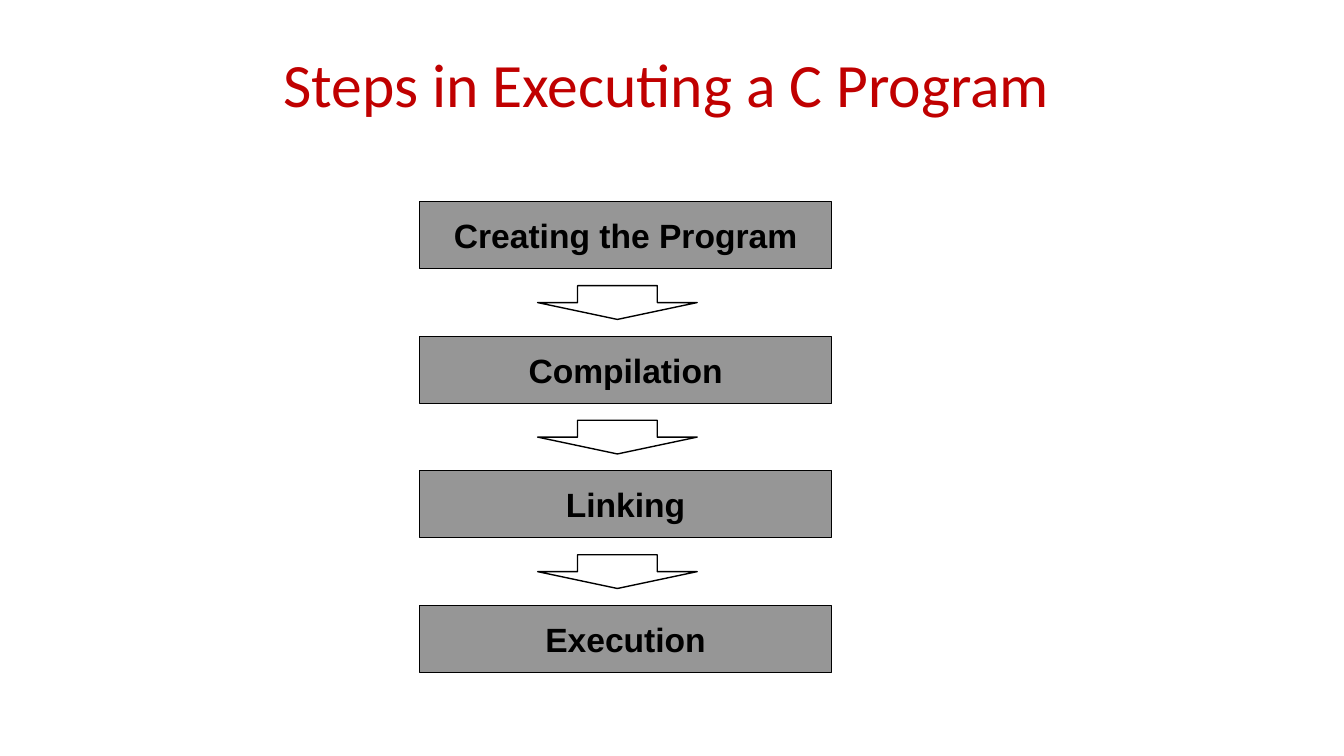
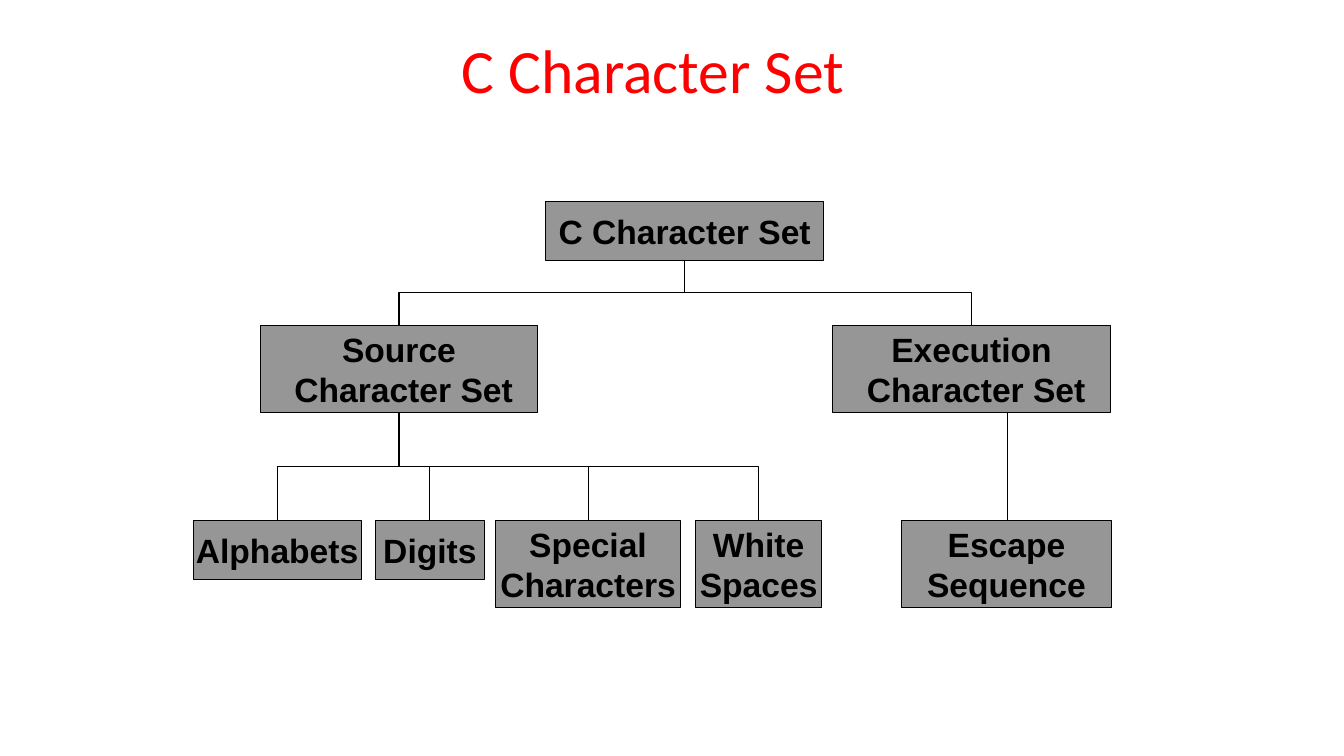
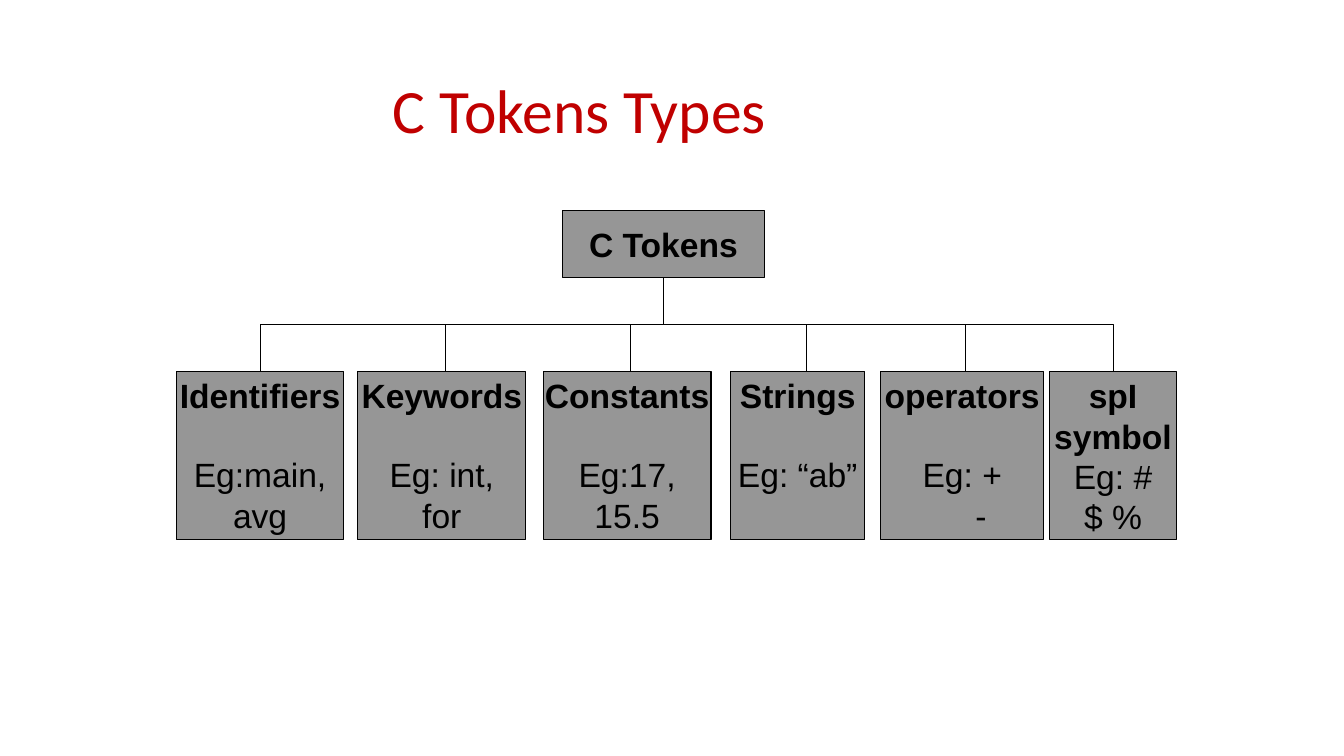
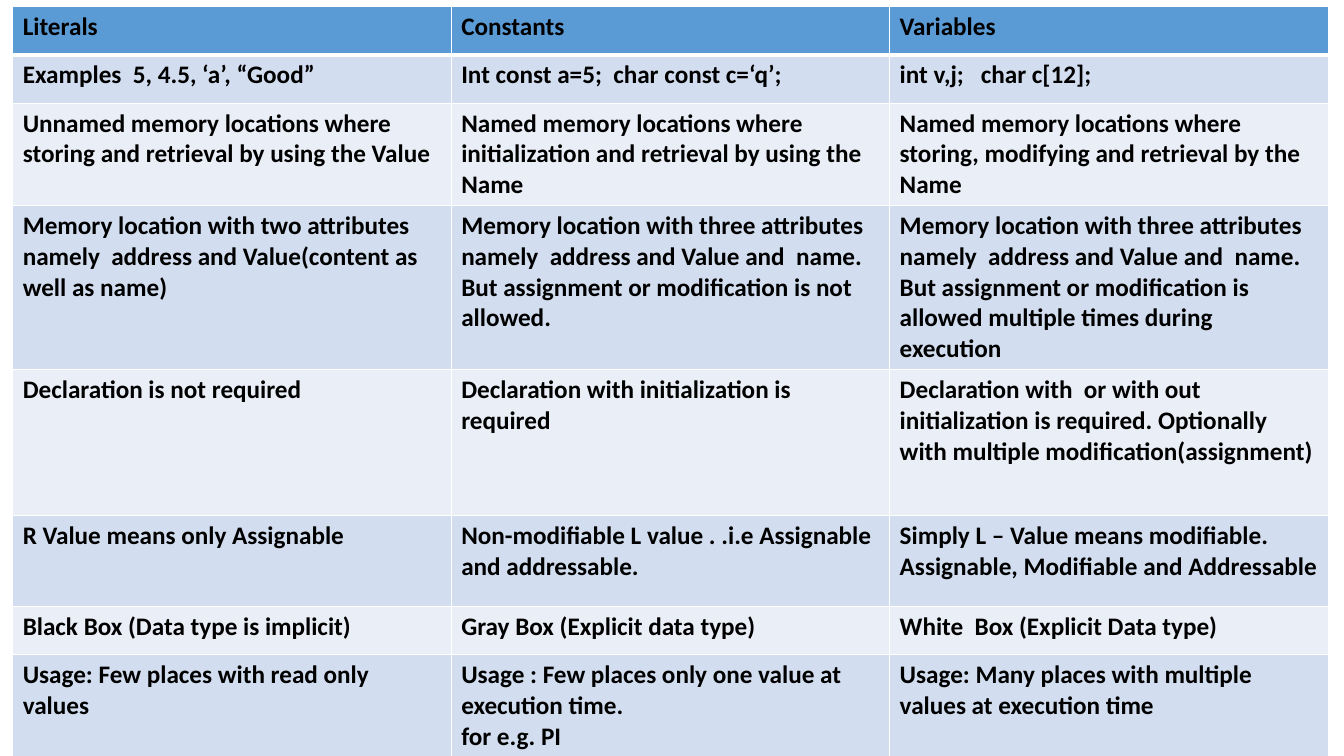
from dataclasses import dataclass

import pptx
from lxml import etree
from pptx import util as u
from pptx.dml import color
from pptx.enum import shapes, text
from pptx.oxml import ns

COLORS = {
    "black": "000000",
    "white": "FFFFFF",
    "box": "969696",
    "dark red": "C00000",
    "red": "FF0000",
    "header": "5B9BD5",
    "band dark": "D2DEEF",
    "band light": "EAEFF7",
}
TITLE_FONT = "Calibri"
BOX_FONT = "Arial"
BOX_TEXT_SIZE = 24
BLANK_LINE = u.Pt(27.6)  # one line of box text
TWO_LINES = 2.2  # height of a box that holds two lines


@dataclass
class Area:
    """Rectangle in centimetres."""
    left: float
    top: float
    width: float
    height: float

    @property
    def center(self) -> float:
        return self.left + self.width / 2

    @property
    def bottom(self) -> float:
        return self.top + self.height

    def lengths(self) -> list[u.Length]:
        return [u.Cm(value) for value in (self.left, self.top, self.width, self.height)]


@dataclass
class Box:
    area: Area
    lines: list[str]


@dataclass
class Token:
    left: float
    width: float
    heading: list[str]
    examples: list[str]
    last_indent: float = 0


# Shared parts

def rgb(name: str) -> color.RGBColor:
    return color.RGBColor.from_string(COLORS[name])


def add_run(paragraph, words: str, size: float, font: str, color_name: str = "black",
            bold: bool = False) -> None:
    run = paragraph.add_run()
    run.text = words
    run.font.size = u.Pt(size)
    run.font.name = font
    run.font.bold = bold
    run.font.color.rgb = rgb(color_name)


def next_paragraph(frame, index: int):
    return frame.add_paragraph() if index else frame.paragraphs[0]


def add_title(slide, area: Area, words: str, color_name: str = "dark red") -> None:
    frame = slide.shapes.add_textbox(*area.lengths()).text_frame
    frame.word_wrap = True
    frame.vertical_anchor = text.MSO_ANCHOR.MIDDLE
    paragraph = frame.paragraphs[0]
    paragraph.alignment = text.PP_ALIGN.CENTER
    paragraph.line_spacing = 0.9
    add_run(paragraph, words, 44, TITLE_FONT, color_name)


def add_preset(slide, kind, area: Area, fill: str, line_width: float):
    shape = slide.shapes.add_shape(kind, *area.lengths())
    shape.shadow.inherit = False
    shape.fill.solid()
    shape.fill.fore_color.rgb = rgb(fill)
    shape.line.color.rgb = rgb("black")
    shape.line.width = u.Pt(line_width)
    return shape


def add_box(slide, area: Area, lines: list[str], bold_count: int | None = None):
    """Grey box; the first bold_count lines are bold, or all of them."""
    frame = add_preset(slide, shapes.MSO_SHAPE.RECTANGLE, area, "box", 0.75).text_frame
    frame.word_wrap = False
    frame.vertical_anchor = text.MSO_ANCHOR.MIDDLE
    frame.margin_top = frame.margin_bottom = u.Cm(0.1)
    for index, words in enumerate(lines):
        paragraph = next_paragraph(frame, index)
        paragraph.alignment = text.PP_ALIGN.CENTER
        bold = bold_count is None or index < bold_count
        add_run(paragraph, words, BOX_TEXT_SIZE, BOX_FONT, bold=bold)
    return frame


def add_connector(slide, kind, x1: float, y1: float, x2: float, y2: float):
    connector = slide.shapes.add_connector(kind, u.Cm(x1), u.Cm(y1), u.Cm(x2), u.Cm(y2))
    connector.line.color.rgb = rgb("black")
    connector.line.width = u.Pt(0.75)
    etree.SubElement(connector._element.spPr, ns.qn("a:effectLst"))
    return connector


def add_line(slide, x: float, top: float, bottom: float) -> None:
    add_connector(slide, shapes.MSO_CONNECTOR.STRAIGHT, x, top, x, bottom)


def add_branch(slide, parent: Area, child: Area) -> None:
    """Elbow from the parent's bottom to the child's top, turned to start downwards."""
    drop = child.top - parent.bottom
    shift = child.center - parent.center
    middle_x = (parent.center + child.center) / 2
    middle_y = (parent.bottom + child.top) / 2
    # A branch to the right is flipped, so it begins at the far side.
    side = 1 if shift > 0 else -1
    connector = add_connector(
        slide, shapes.MSO_CONNECTOR.ELBOW,
        middle_x + side * drop / 2, middle_y - abs(shift) / 2,
        middle_x - side * drop / 2, middle_y + abs(shift) / 2)
    degrees = 270 if shift > 0 else 90
    connector._element.spPr.find(ns.qn("a:xfrm")).set("rot", str(degrees * 60000))


# Slide 1: steps

STEPS = ["Creating the Program", "Compilation", "Linking", "Execution"]


def build_steps(slide) -> None:
    add_title(slide, Area(0, 1.02, 33.6, 2.36), "Steps in Executing a C Program")
    for index, step in enumerate(STEPS):
        top = 5.08 + index * 3.39
        add_box(slide, Area(10.58, top, 10.37, 1.69), [step])
        if index < len(STEPS) - 1:
            arrow = Area(13.55, top + 2.12, 4.02, 0.85)
            add_preset(slide, shapes.MSO_SHAPE.DOWN_ARROW, arrow, "white", 1)


# Slide 2: character set tree

ROOT_SET = Box(Area(13.76, 5.08, 6.99, 1.48), ["C Character Set"])
SOURCE_SET = Box(Area(6.56, 8.2, 6.99, TWO_LINES), ["Source", " Character Set"])
EXECUTION_SET = Box(Area(20.99, 8.2, 6.99, TWO_LINES), ["Execution", " Character Set"])
SOURCE_PARTS = [
    Box(Area(4.87, 13.12, 4.23, 1.48), ["Alphabets"]),
    Box(Area(9.46, 13.12, 2.75, 1.48), ["Digits"]),
    Box(Area(12.49, 13.12, 4.66, TWO_LINES), ["Special", "Characters"]),
    Box(Area(17.53, 13.12, 3.18, TWO_LINES), ["White", "Spaces"]),
]
ESCAPE = Box(Area(22.72, 13.12, 5.29, TWO_LINES), ["Escape", "Sequence"])


def build_character_set(slide) -> None:
    add_title(slide, Area(1.4, 0.43, 30.12, 2.84), "C Character Set", "red")
    for box in [ROOT_SET, SOURCE_SET, EXECUTION_SET, *SOURCE_PARTS, ESCAPE]:
        add_box(slide, box.area, box.lines)
    for child in (SOURCE_SET, EXECUTION_SET):
        add_branch(slide, ROOT_SET.area, child.area)
    for child in SOURCE_PARTS:
        add_branch(slide, SOURCE_SET.area, child.area)
    add_line(slide, 25.4, EXECUTION_SET.area.bottom, ESCAPE.area.top)


# Slide 3: token types

TOKENS = [
    Token(4.44, 4.23, ["Identifiers"], ["Eg:main,", "avg"]),
    Token(9.02, 4.23, ["Keywords"], ["Eg: int,", "for"]),
    Token(13.69, 4.23, ["Constants"], ["Eg:17,", "15.5"]),
    Token(18.41, 3.39, ["Strings"], ["Eg: “ab”"]),
    Token(22.2, 4.1, ["operators"], ["Eg: +", "-"], last_indent=0.94),
    Token(26.46, 3.18, ["spI", "symbol"], ["Eg: #", "$ %"]),
]
TOKEN_DROPS = [11.22, 15.88, 20.33, 24.34]


def build_tokens(slide) -> None:
    add_title(slide, Area(0, 1.02, 29.21, 3.68), "C Tokens Types")
    root = Area(14.18, 5.3, 5.08, 1.69)
    add_box(slide, root, ["C Tokens"])
    areas = [Area(token.left, 9.36, token.width, 4.23) for token in TOKENS]
    for token, area in zip(TOKENS, areas):
        heading_count = len(token.heading)
        frame = add_box(slide, area, token.heading + token.examples, heading_count)
        frame.vertical_anchor = text.MSO_ANCHOR.TOP
        if heading_count == 1:
            frame.paragraphs[1].space_before = BLANK_LINE
        if token.last_indent:
            properties = frame.paragraphs[-1]._p.get_or_add_pPr()
            properties.set("marL", str(u.Cm(token.last_indent)))
    for area in (areas[0], areas[-1]):
        add_branch(slide, root, area)
    branch_level = (root.bottom + areas[0].top) / 2
    for x in TOKEN_DROPS:
        add_line(slide, x, branch_level, areas[0].top)


# Slide 4: comparison table

ROW_HEIGHTS = [1.22, 1.22, 2.46, 3.94, 3.68, 2.29, 1.22, 2.46]
COLUMN_WIDTH = 11.05
COMPARISON = [
    ["Literals", "Constants", "Variables"],
    ["Examples  5, 4.5, ‘a’, “Good”",
     "Int const a=5;  char const c=‘q’;",
     "int v,j;   char c[12];"],
    ["Unnamed memory locations where storing and retrieval by using the Value",
     "Named memory locations where initialization and retrieval by using the Name",
     "Named memory locations where storing, modifying and retrieval by the Name"],
    ["Memory location with two attributes namely  address and Value(content as well as name)",
     "Memory location with three attributes namely  address and Value and  name. "
     "But assignment or modification is not allowed.",
     "Memory location with three attributes namely  address and Value and  name. "
     "But assignment or modification is allowed multiple times during execution"],
    ["Declaration is not required",
     "Declaration with initialization is required",
     "Declaration with  or with out initialization is required. "
     "Optionally with multiple modification(assignment)"],
    ["R Value means only Assignable",
     "Non-modifiable L value . .i.e Assignable and addressable.",
     "Simply L – Value means modifiable. Assignable, Modifiable and Addressable"],
    ["Black Box (Data type is implicit)",
     "Gray Box (Explicit data type)",
     "White  Box (Explicit Data type)"],
    ["Usage: Few places with read only values",
     "Usage : Few places only one value at execution time.\nfor e.g. PI",
     "Usage: Many places with multiple values at execution time"],
]


def set_borders(cell, top: float, bottom: float) -> None:
    properties = cell._tc.get_or_add_tcPr()
    for side, width in (("L", 1), ("R", 1), ("T", top), ("B", bottom)):
        line = etree.SubElement(properties, ns.qn(f"a:ln{side}"), w=str(u.Pt(width)))
        fill = etree.SubElement(line, ns.qn("a:solidFill"))
        etree.SubElement(fill, ns.qn("a:srgbClr"), val=COLORS["white"])


def build_comparison(slide) -> None:
    column_count = len(COMPARISON[0])
    area = Area(0.32, 0.16, COLUMN_WIDTH * column_count, sum(ROW_HEIGHTS))
    table = slide.shapes.add_table(len(COMPARISON), column_count, *area.lengths()).table
    for column in table.columns:
        column.width = u.Cm(COLUMN_WIDTH)
    for row_index, (height, row) in enumerate(zip(ROW_HEIGHTS, COMPARISON)):
        table.rows[row_index].height = u.Cm(height)
        band = "band dark" if row_index % 2 else "band light"
        for column_index, words in enumerate(row):
            cell = table.cell(row_index, column_index)
            # The rule under the header is thick.
            set_borders(cell, 3 if row_index == 1 else 1, 3 if row_index == 0 else 1)
            cell.fill.solid()
            cell.fill.fore_color.rgb = rgb(band if row_index else "header")
            for index, line in enumerate(words.split("\n")):
                paragraph = next_paragraph(cell.text_frame, index)
                add_run(paragraph, line, 18, TITLE_FONT, bold=True)


def main() -> None:
    presentation = pptx.Presentation()
    presentation.slide_width = u.Cm(33.87)
    presentation.slide_height = u.Cm(19.05)
    blank = presentation.slide_layouts[6]
    for build in (build_steps, build_character_set, build_tokens, build_comparison):
        build(presentation.slides.add_slide(blank))
    presentation.save("out.pptx")


if __name__ == "__main__":
    main()
